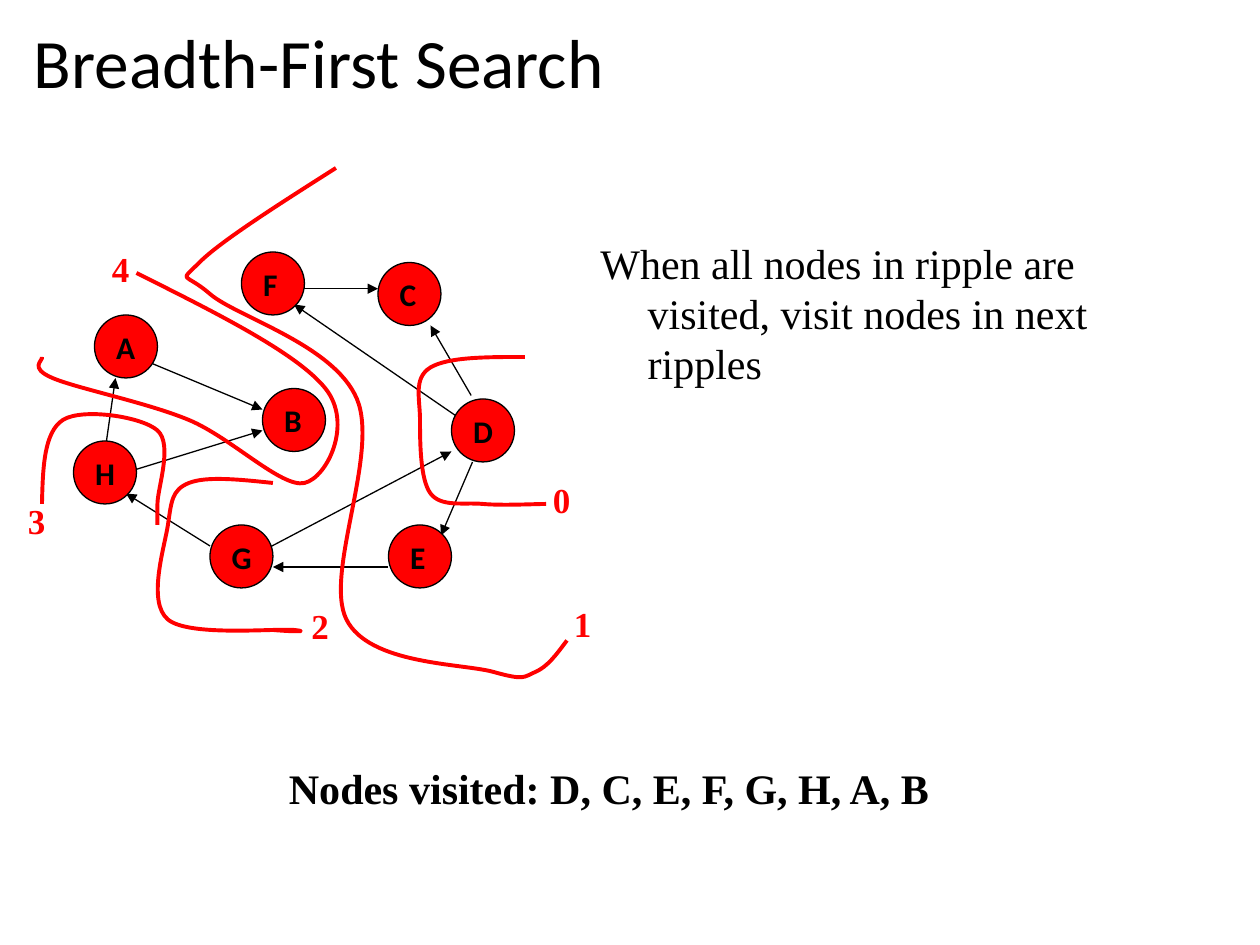
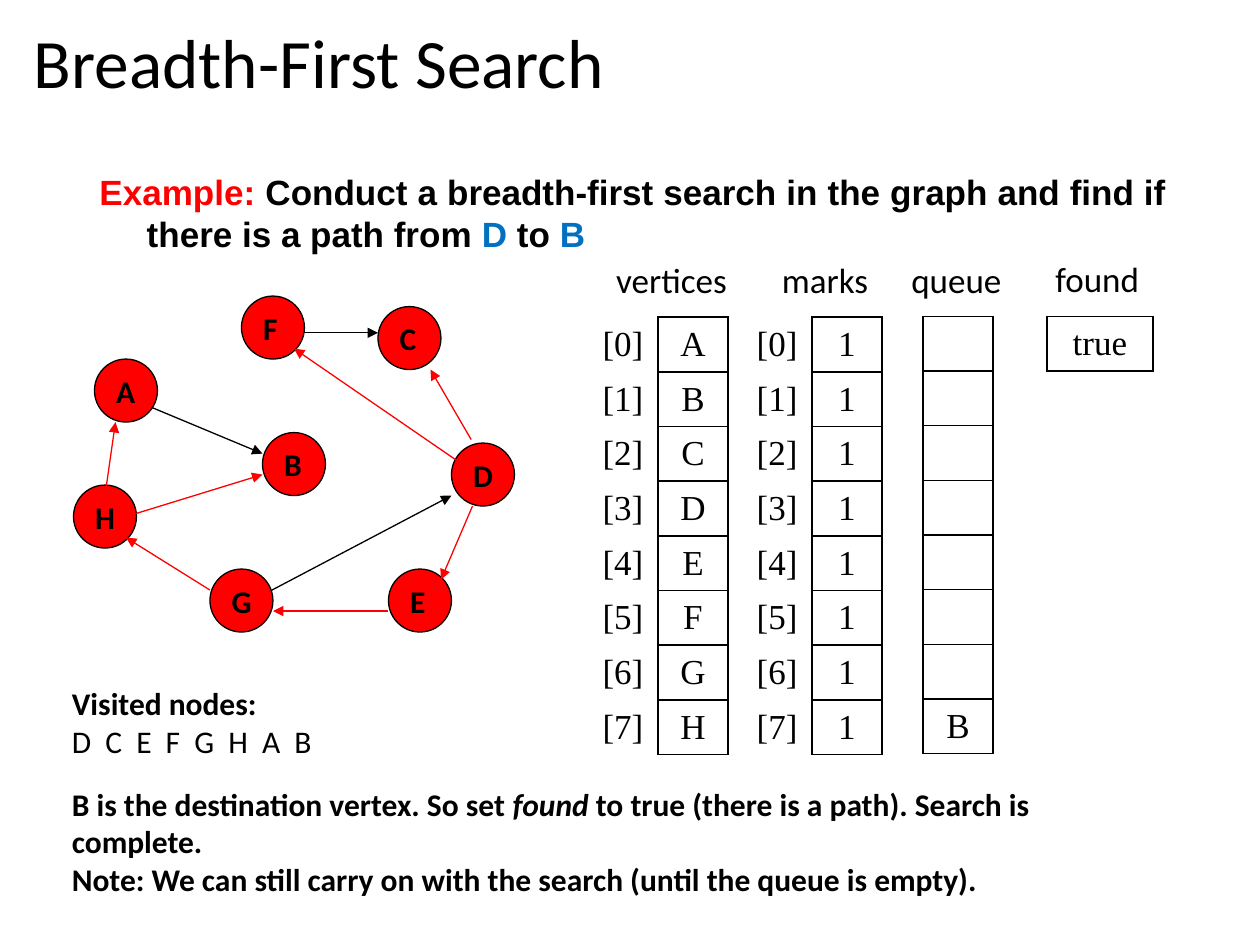
from dataclasses import dataclass
from typing import NamedTuple, Optional

import lxml.etree
import pptx
import pptx.dml.color
import pptx.enum.shapes
import pptx.enum.text
import pptx.oxml.ns
import pptx.util

Pt = pptx.util.Pt
Align = pptx.enum.text.PP_ALIGN
Anchor = pptx.enum.text.MSO_ANCHOR
qn = pptx.oxml.ns.qn


# Theme: colours, fonts, type sizes and line widths
@dataclass(frozen=True)
class Theme:
    black: str = "000000"
    red: str = "FF0000"
    blue: str = "0070C0"
    sans: str = "Calibri"
    serif: str = "Times New Roman"
    example: str = "Arial"
    title: float = 39.6
    large: float = 24
    medium: float = 20
    small: float = 18
    thin: float = 0.75
    border: float = 1
    thick: float = 2.25


THEME = Theme()


class Area(NamedTuple):
    left: float
    top: float
    width: float
    height: float


@dataclass(frozen=True)
class Span:
    text: str
    color: str = THEME.black
    bold: Optional[bool] = None
    italic: bool = False
    spacing: float = 0


class Node(NamedTuple):
    name: str
    left: float
    top: float


class Edge(NamedTuple):
    name: str
    start: tuple
    end: tuple


class Ripple(NamedTuple):
    name: str
    label: tuple
    start: tuple
    curves: list  # each curve: two control points and an end point


class Grid(NamedTuple):
    heading: str
    heading_area: Area
    left: float
    top: float
    column: float
    rows: list
    indexed: bool = False


# Graph: nodes and edges used on both slides
NODE_SIZE = 36
NODES = [Node("A", 54, 180), Node("H", 42, 252), Node("B", 150, 222), Node("F", 138, 144),
         Node("E", 222, 300), Node("D", 258, 228), Node("C", 216, 150), Node("G", 120, 300)]
EDGES = [
    Edge("DF", (264, 240), (168, 174)), Edge("DE", (270, 264), (252, 306)),
    Edge("HB", (72, 270), (150, 246)), Edge("GD", (144, 318), (258, 258)),
    Edge("HA", (60, 258), (66, 216)), Edge("AB", (78, 204), (150, 234)),
    Edge("DC", (269.25, 226), (246, 186)), Edge("EG", (222, 324), (156, 324)),
    Edge("GH", (120, 312), (72, 282)), Edge("FC", (174, 165), (216, 165)),
]
SEARCH_EDGES = frozenset({"DF", "DE", "HB", "HA", "DC", "EG", "GH"})

# Ripples: borders between the distances from D
RIPPLES = [
    Ripple("1", (318, 340.5), (192, 96), [
        (159, 117, 126, 138, 114, 150), (102, 162, 105, 155, 120, 168),
        (135, 181, 191, 197, 204, 228), (217, 259, 185, 328, 198, 354),
        (211, 380, 264, 379, 282, 384), (300, 389, 299, 387, 306, 384),
        (313, 381, 318, 374, 324, 366)]),
    Ripple("0", (306, 270), (300, 204), [
        (278, 204, 256, 204, 246, 210), (236, 216, 240, 228, 240, 240),
        (240, 252, 240, 274, 246, 282), (252, 290, 265, 287, 276, 288),
        (287, 289, 306, 288, 312, 288)]),
    Ripple("2", (168, 342), (156, 276), [
        (137, 274, 118, 272, 108, 276), (98, 280, 98, 287, 96, 300),
        (94, 313, 84, 344, 96, 354), (108, 364, 158, 359, 168, 360),
        (178, 361, 167, 361, 156, 360)]),
    Ripple("3", (6, 282), (24, 288), [
        (24.5, 268, 25, 247, 36, 240), (47, 233, 81, 238, 90, 246),
        (99, 254, 90, 279, 90, 288), (90, 297, 90, 299, 90, 300)]),
    Ripple("4", (54, 138), (78, 156), [
        (124, 179, 170, 202, 186, 222), (202, 242, 187, 273, 174, 276),
        (161, 279, 132, 250, 108, 240), (84, 230, 44, 222, 30, 216),
        (16, 210, 25, 206, 24, 204)]),
]

# Search state tables
ROW_HEIGHT = 31.25
INDEXES = [f"[{index}]" for index in range(8)]
GRIDS = [
    Grid("vertices", Area(339.75, 144, 88, 31), 336, 181.25, 40,
         list(zip(INDEXES, "ABCDEFGH")), True),
    Grid("marks", Area(434.75, 144, 73.5, 31), 424, 181.25, 40, [(i, "1") for i in INDEXES], True),
    Grid("queue", Area(509.75, 144, 73.5, 31), 527.5, 180.75, 40, [("",)] * 7 + [("B",)]),
    Grid("found", Area(590.25, 143.75, 73.5, 31), 598.25, 180.75, 60.5, [("true",)]),
]


def rgb(color: str):
    return pptx.dml.color.RGBColor.from_string(color)


def fill_text(frame, paragraphs: list, *, size: float, font: str, bold: bool = False,
              align=Align.LEFT, hanging: float = 0, line_spacing: Optional[float] = None) -> None:
    """Write paragraphs, each a list of spans, into a text frame."""
    for number, spans in enumerate(paragraphs):
        para = frame.add_paragraph() if number else frame.paragraphs[0]
        para.alignment = align
        if line_spacing:
            para.line_spacing = line_spacing
        if hanging:
            properties = para._p.get_or_add_pPr()
            properties.set("marL", str(Pt(hanging)))
            properties.set("indent", str(-Pt(hanging)))
        for span in spans:
            run = para.add_run()
            run.text = span.text
            run.font.name, run.font.size = font, Pt(size)
            run.font.bold = bold if span.bold is None else span.bold
            run.font.italic = span.italic
            run.font.color.rgb = rgb(span.color)
            if span.spacing:
                run._r.get_or_add_rPr().set("spc", str(int(span.spacing * 100)))


def add_text(page, area: Area, paragraphs: list, *, anchor=Anchor.TOP,
             bottom_margin: float = 3.6, **text_format) -> None:
    box = page.shapes.add_textbox(*map(Pt, area))
    box.text_frame.word_wrap = True
    box.text_frame.vertical_anchor = anchor
    box.text_frame.margin_bottom = Pt(bottom_margin)
    fill_text(box.text_frame, paragraphs, **text_format)


def add_page(deck):
    """Add a blank slide with the shared title."""
    page = deck.slides.add_slide(deck.slide_layouts[6])
    add_text(page, Area(12.25, 13, 692.5, 53.5), [[Span("Breadth-First Search")]],
             anchor=Anchor.MIDDLE, bottom_margin=8.1, size=THEME.title, font=THEME.sans,
             line_spacing=0.9)
    return page


def add_node(page, node: Node, drop: float) -> None:
    circle = page.shapes.add_shape(pptx.enum.shapes.MSO_SHAPE.OVAL, Pt(node.left),
                                   Pt(node.top + drop), Pt(NODE_SIZE), Pt(NODE_SIZE))
    circle.shadow.inherit = False
    circle.fill.solid()
    circle.fill.fore_color.rgb = rgb(THEME.red)
    circle.line.color.rgb = rgb(THEME.black)
    circle.line.width = Pt(THEME.thin)
    circle.text_frame.word_wrap = False
    circle.text_frame.vertical_anchor = Anchor.MIDDLE
    fill_text(circle.text_frame, [[Span(node.name)]], size=THEME.small, font=THEME.sans, bold=True)


def add_arrow(page, edge: Edge, drop: float, color: str) -> None:
    (x1, y1), (x2, y2) = edge.start, edge.end
    arrow = page.shapes.add_connector(pptx.enum.shapes.MSO_CONNECTOR.STRAIGHT,
                                      Pt(x1), Pt(y1 + drop), Pt(x2), Pt(y2 + drop))
    arrow.line.color.rgb = rgb(color)
    arrow.line.width = Pt(THEME.thin)
    lxml.etree.SubElement(arrow.line._get_or_add_ln(), qn("a:tailEnd"), type="triangle")
    lxml.etree.SubElement(arrow._element.spPr, qn("a:effectLst"))


def add_graph(page, drop: float = 0, highlighted: frozenset = frozenset()) -> None:
    """Draw plain edges, then nodes, then highlighted edges on top."""
    for edge in EDGES:
        if edge.name not in highlighted:
            add_arrow(page, edge, drop, THEME.black)
    for node in NODES:
        add_node(page, node, drop)
    for edge in EDGES:
        if edge.name in highlighted:
            add_arrow(page, edge, drop, THEME.red)


def bend_segments(outline) -> None:
    """Turn each three line segments into one cubic curve."""
    segments = list(outline._element.iter(qn("a:lnTo")))
    for first in range(0, len(segments), 3):
        curve = lxml.etree.Element(qn("a:cubicBezTo"))
        segments[first].addprevious(curve)
        for segment in segments[first:first + 3]:
            curve.append(segment[0])
            segment.getparent().remove(segment)


def add_ripple(page, ripple: Ripple) -> None:
    points = [(Pt(curve[i]), Pt(curve[i + 1])) for curve in ripple.curves for i in (0, 2, 4)]
    builder = page.shapes.build_freeform(*map(Pt, ripple.start))
    builder.add_line_segments(points, close=False)
    outline = builder.convert_to_shape()
    bend_segments(outline)
    outline.shadow.inherit = False
    outline.fill.background()
    outline.line.color.rgb = rgb(THEME.red)
    outline.line.width = Pt(THEME.thick)
    add_text(page, Area(*ripple.label, 30, 31), [[Span(ripple.name, THEME.red)]],
             size=THEME.medium, font=THEME.serif, bold=True, align=Align.CENTER)


def set_borders(cell, sides: str) -> None:
    """Put black lines on the given sides, before the fill as the schema asks."""
    properties = cell._tc.get_or_add_tcPr()
    for position, side in enumerate(sides):
        line = lxml.etree.Element(qn(f"a:ln{side}"), w=str(Pt(THEME.border)))
        solid = lxml.etree.SubElement(line, qn("a:solidFill"))
        lxml.etree.SubElement(solid, qn("a:srgbClr"), val=THEME.black)
        properties.insert(position, line)


def add_grid(page, grid: Grid) -> None:
    add_text(page, grid.heading_area, [[Span(grid.heading)]],
             size=THEME.medium, font=THEME.sans, align=Align.CENTER)
    count, columns = len(grid.rows), len(grid.rows[0])
    table = page.shapes.add_table(count, columns, Pt(grid.left), Pt(grid.top),
                                  Pt(grid.column * columns), Pt(ROW_HEIGHT * count)).table
    table.first_row = table.horz_banding = False
    for column in table.columns:
        column.width = Pt(grid.column)
    for row, values in enumerate(grid.rows):
        table.rows[row].height = Pt(ROW_HEIGHT)
        for column, value in enumerate(values):
            cell = table.cell(row, column)
            cell.fill.background()
            cell.vertical_anchor = Anchor.MIDDLE
            set_borders(cell, "R" if grid.indexed and column == 0 else "LRTB")
            if value:
                fill_text(cell.text_frame, [[Span(value)]], size=THEME.medium,
                          font=THEME.serif, align=Align.CENTER)


def build_ripple_page(deck) -> None:
    page = add_page(deck)
    add_graph(page)
    for ripple in RIPPLES:
        add_ripple(page, ripple)
    add_text(page, Area(336, 132, 300, 93.5),
             [[Span("When all nodes in ripple are visited, visit nodes in next ripples")]],
             size=THEME.large, font=THEME.serif, hanging=27)
    add_text(page, Area(120, 432, 456, 36), [[Span("Nodes visited: D, C, E, F, G, H, A, B")]],
             size=THEME.large, font=THEME.serif, bold=True, align=Align.CENTER)


def build_example_page(deck) -> None:
    page = add_page(deck)
    add_text(page, Area(49.75, 94, 624, 55.5), [[
        Span("Example: ", THEME.red),
        Span("Conduct a breadth-first search in the graph and find if there is a path from "),
        Span("D", THEME.blue), Span(" to "), Span("B", THEME.blue)]],
        size=THEME.medium, font=THEME.example, bold=True, align=Align.JUSTIFY, hanging=27)
    add_graph(page, drop=25.2, highlighted=SEARCH_EDGES)
    for grid in GRIDS:
        add_grid(page, grid)
    add_text(page, Area(34, 387.25, 283.5, 51),
             [[Span("Visited nodes:")], [Span("D C E F G H A B", bold=False, spacing=2)]],
             size=THEME.small, font=THEME.sans, bold=True)
    add_text(page, Area(34, 444.75, 632, 73), [
        [Span("B is the destination vertex. So set "), Span("found", italic=True),
         Span(" to true (there is a path). Search is complete.")],
        [Span("Note: We can still carry on with the search (until the queue is empty).")]],
        size=THEME.small, font=THEME.sans, bold=True)


deck = pptx.Presentation()
deck.slide_width, deck.slide_height = Pt(720), Pt(540)
build_ripple_page(deck)
build_example_page(deck)
deck.save("out.pptx")
